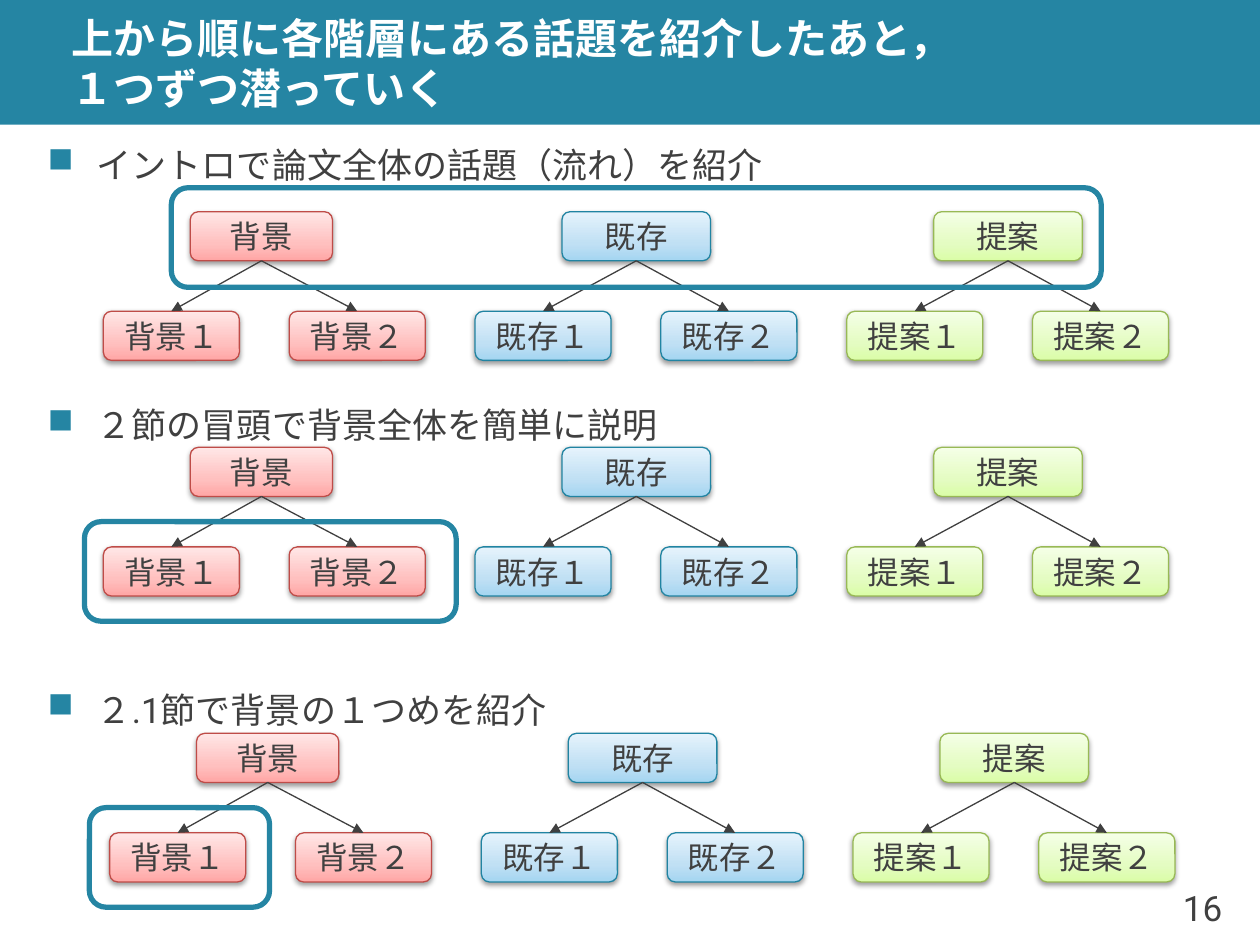
from dataclasses import dataclass

from pptx import Presentation
from pptx.dml.color import RGBColor
from pptx.enum.shapes import MSO_CONNECTOR, MSO_SHAPE
from pptx.enum.text import MSO_ANCHOR, PP_ALIGN
from pptx.oxml import parse_xml
from pptx.oxml.ns import nsdecls
from pptx.util import Inches, Pt


@dataclass(frozen=True)
class Theme:
    """Colours, fonts and type sizes of the slide."""
    accent: str = "2585A3"
    ink: str = "404040"
    white: str = "FFFFFF"
    latin: str = "Roboto"
    japanese: str = "Noto Sans CJK JP"
    title_size: int = 24
    body_size: int = 20
    node_size: int = 18


@dataclass(frozen=True)
class Topic:
    """A tree of one topic: its name, root size and colours from bottom to top."""
    name: str
    root_left: float
    root_width: float
    gradient: tuple[str, str, str]
    outline: str


@dataclass(frozen=True)
class Section:
    """A bullet, the trees below it and the frame (left, top, width, height)."""
    heading: str
    heading_top: float
    left: float
    top: float
    frame: tuple[float, float, float, float]


THEME = Theme()
TOPICS = (
    Topic("背景", 0.69, 1.13, ("FFA6A5", "FFC0BF", "FFE7E7"), "BF4C48"),
    Topic("既存", 0.69, 1.18, ("A4D5F1", "C0E0F4", "E6F3FC"), "2184A2"),
    Topic("提案", 0.69, 1.18, ("DAFDA7", "E4FCC2", "F5FFE7"), "98B955"),
)
SECTIONS = (
    Section("イントロで論文全体の話題（流れ）を紹介", 0.99, 0.82, 1.68, (1.36, 1.49, 7.38, 0.79)),
    Section("２節の冒頭で背景全体を簡単に説明", 3.06, 0.82, 3.55, (0.67, 4.14, 2.95, 0.79)),
    Section("２.1節で背景の１つめを紹介", 5.32, 0.87, 5.82, (0.71, 6.41, 1.43, 0.79)),
)
TOPIC_PITCH = 2.95
CHILD_PITCH = TOPIC_PITCH / 2
CHILD_WIDTH = 1.08
CHILD_DROP = 0.79
NODE_HEIGHT = 0.39


def color(value: str) -> RGBColor:
    """Turn a hexadecimal string into a colour."""
    return RGBColor.from_string(value)


def add_run(paragraph, text: str, size: int, ink: str, font: str, bold: bool = False) -> None:
    """Add one formatted run."""
    run = paragraph.add_run()
    run.text = text
    run.font.size, run.font.name, run.font.bold = Pt(size), font, bold
    run.font.color.rgb = color(ink)
    run.font._element.append(
        parse_xml(f'<a:ea {nsdecls("a")} typeface="{THEME.japanese}"/>'))


def add_text_box(slide, left: float, top: float, width: float, height: float, wrap: bool = True):
    """Add a vertically centred text box and return its text frame."""
    box = slide.shapes.add_textbox(Inches(left), Inches(top), Inches(width), Inches(height))
    frame = box.text_frame
    frame.word_wrap, frame.vertical_anchor = wrap, MSO_ANCHOR.MIDDLE
    return frame


def add_title(slide) -> None:
    """Draw the title band and its two lines."""
    band = slide.shapes.add_shape(MSO_SHAPE.RECTANGLE, 0, 0, Inches(10), Inches(0.99))
    band.shadow.inherit = False
    band.fill.solid()
    band.fill.fore_color.rgb = color(THEME.accent)
    band.line.fill.background()
    frame = add_text_box(slide, 0.47, 0, 9.53, 0.99)
    frame.margin_top = frame.margin_bottom = 0
    paragraph = frame.paragraphs[0]
    for index, line in enumerate(("上から順に各階層にある話題を紹介したあと，", "１つずつ潜っていく")):
        if index:
            paragraph.add_line_break()
        add_run(paragraph, line, THEME.title_size, THEME.white, THEME.latin, True)


def add_node(slide, topic: Topic, text: str, left: float, top: float, width: float) -> None:
    """Draw a rounded box with gradient and soft shadow."""
    node = slide.shapes.add_shape(MSO_SHAPE.ROUNDED_RECTANGLE, Inches(left), Inches(top),
                                  Inches(width), Inches(NODE_HEIGHT))
    node.line.color.rgb = color(topic.outline)
    node.line.width = Pt(0.75)
    stops = "".join(f'<a:gs pos="{position}000"><a:srgbClr val="{value}"/></a:gs>'
                    for position, value in zip((0, 35, 100), topic.gradient))
    properties = node._element.spPr
    properties.insert(2, parse_xml(
        f'<a:gradFill {nsdecls("a")} rotWithShape="1"><a:gsLst>{stops}</a:gsLst>'
        '<a:lin ang="16200000" scaled="1"/></a:gradFill>'))
    properties.append(parse_xml(
        f'<a:effectLst {nsdecls("a")}><a:outerShdw blurRad="{Pt(3.1)}" dist="{Pt(1.6)}" '
        'dir="5400000" rotWithShape="0"><a:srgbClr val="000000"><a:alpha val="38000"/>'
        '</a:srgbClr></a:outerShdw></a:effectLst>'))
    frame = node.text_frame
    frame.word_wrap, frame.vertical_anchor = False, MSO_ANCHOR.MIDDLE
    paragraph = frame.paragraphs[0]
    paragraph.alignment = PP_ALIGN.CENTER
    add_run(paragraph, text, THEME.node_size, THEME.ink, THEME.japanese)


def add_arrow(slide, start_x: float, start_y: float, end_x: float, end_y: float) -> None:
    """Draw a thin arrow from a root to a child."""
    arrow = slide.shapes.add_connector(MSO_CONNECTOR.STRAIGHT, Inches(start_x), Inches(start_y),
                                       Inches(end_x), Inches(end_y))
    arrow.line.color.rgb = color(THEME.ink)
    arrow.line.width = Pt(0.75)
    arrow.line._get_or_add_ln().append(parse_xml(f'<a:tailEnd {nsdecls("a")} type="triangle"/>'))
    arrow._element.spPr.append(parse_xml(f'<a:effectLst {nsdecls("a")}/>'))


def add_tree(slide, topic: Topic, left: float, top: float) -> None:
    """Draw a root with its two children and arrows."""
    root_left = left + topic.root_left
    add_node(slide, topic, topic.name, root_left, top, topic.root_width)
    child_top = top + CHILD_DROP
    for index, digit in enumerate("１２"):
        child_left = left + index * CHILD_PITCH
        add_node(slide, topic, topic.name + digit, child_left, child_top, CHILD_WIDTH)
        add_arrow(slide, root_left + topic.root_width / 2, top + NODE_HEIGHT,
                  child_left + CHILD_WIDTH / 2, child_top)


def add_heading(slide, text: str, top: float) -> None:
    """Write a section line with a square bullet."""
    paragraph = add_text_box(slide, 0.28, top, 9.06, 0.59).paragraphs[0]
    paragraph.line_spacing = 1.1
    paragraph.space_before, paragraph.space_after = Pt(24), Pt(6)
    properties = paragraph._p.get_or_add_pPr()
    properties.set("marL", str(Inches(0.39)))
    properties.set("indent", str(-Inches(0.39)))
    for bullet in (f'<a:buClr {nsdecls("a")}><a:srgbClr val="{THEME.accent}"/></a:buClr>',
                   f'<a:buChar {nsdecls("a")} char="■"/>'):
        properties.append(parse_xml(bullet))
    add_run(paragraph, text, THEME.body_size, THEME.ink, THEME.latin)


def add_section(slide, section: Section) -> None:
    """Draw the trees, the highlight frame and the heading of a section."""
    for index, topic in enumerate(TOPICS):
        add_tree(slide, topic, section.left + index * TOPIC_PITCH, section.top)
    frame = slide.shapes.add_shape(MSO_SHAPE.ROUNDED_RECTANGLE, *map(Inches, section.frame))
    frame.shadow.inherit = False
    frame.fill.background()
    frame.line.color.rgb = color(THEME.accent)
    frame.line.width = Pt(3)
    add_heading(slide, section.heading, section.heading_top)


def main() -> None:
    """Build and save the slide."""
    presentation = Presentation()
    presentation.slide_width, presentation.slide_height = Inches(10), Inches(7.5)
    slide = presentation.slides.add_slide(presentation.slide_layouts[6])
    add_title(slide)
    for section in SECTIONS:
        add_section(slide, section)
    page_number = add_text_box(slide, 9.13, 6.9, 0.67, 0.6, wrap=False).paragraphs[0]
    page_number.alignment = PP_ALIGN.RIGHT
    add_run(page_number, "16", THEME.body_size, THEME.ink, THEME.latin)
    presentation.save("out.pptx")


main()
